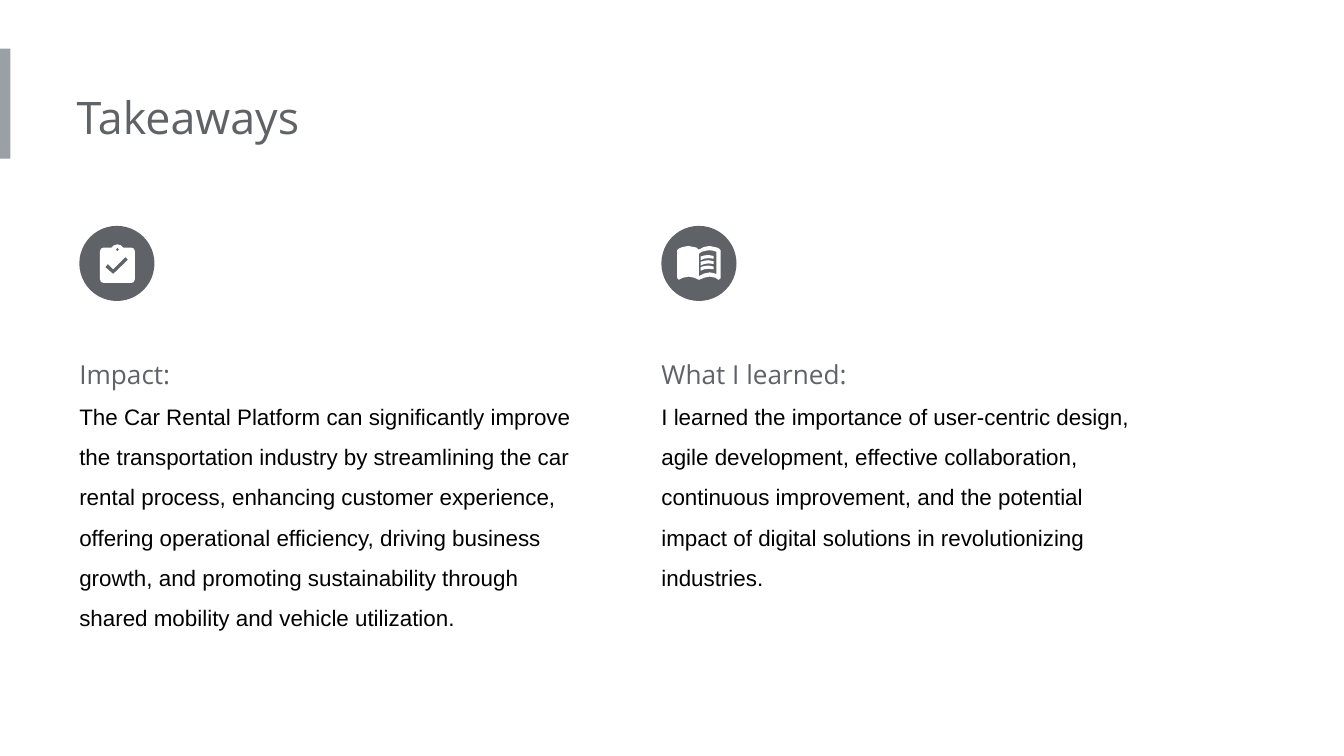
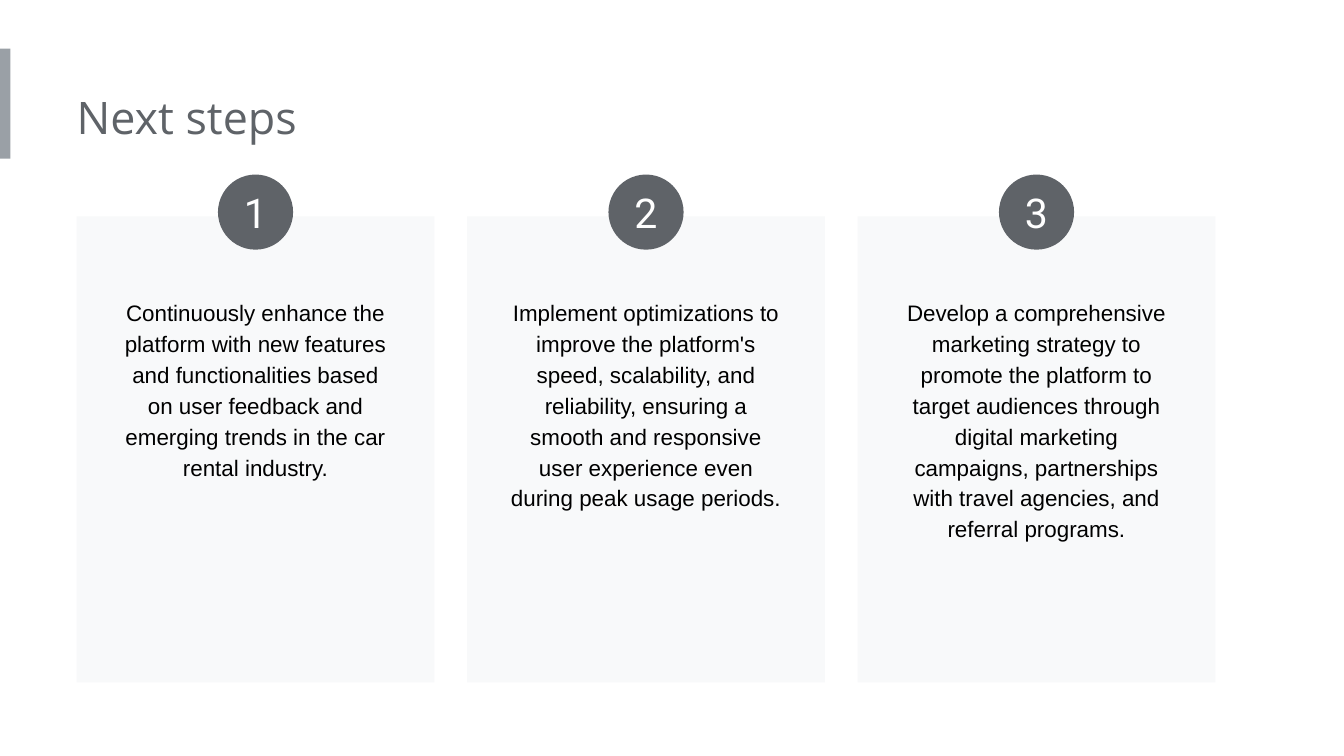
"""Build the closing slides of a car rental case study: takeaways and next steps."""
from dataclasses import dataclass

from pptx import Presentation, util as u
from pptx.dml.color import RGBColor
from pptx.enum import shapes, text


@dataclass(frozen=True)
class Theme:
    """Colours, fonts and type sizes shared by the slides."""
    accent: str = "9AA0A6"
    dark: str = "5F6368"
    panel: str = "F8F9FA"
    ink: str = "000000"
    white: str = "FFFFFF"
    heading_font: str = "Open Sans"
    body_font: str = "Arial"
    number_font: str = "Roboto"
    title_size: int = 24
    heading_size: int = 14
    body_size: int = 12
    number_size: int = 22


THEME = Theme()
TITLE = {"name": THEME.heading_font, "size": THEME.title_size, "color": THEME.dark}
HEADING = {"name": THEME.heading_font, "size": THEME.heading_size, "color": THEME.dark}
BODY = {"name": THEME.body_font, "size": THEME.body_size, "color": THEME.ink}
NUMBER = {"name": THEME.number_font, "size": THEME.number_size, "color": THEME.white}

CIRCLE = 1.42
INSET = 0.25
LEFT_MARGIN = 1.45

CLIPBOARD = [[
    [(46, 41), (61, 41), (65, 37), (72, 35), (79, 37), (83, 41), (98, 41),
     (103, 43), (105, 48), (105, 101), (103, 106), (98, 108), (46, 108),
     (41, 106), (39, 101), (39, 48), (41, 43)],
    [(72, 41), (75, 45), (72, 48), (69, 45)],
    [(64, 91), (49, 78), (54, 72), (64, 82), (87, 59), (92, 64)],
]]
BOOK_PAGES = [
    [(71, 45), (66, 41), (51, 38), (40, 40), (33, 43), (30, 46), (30, 99),
     (33, 102), (41, 98), (51, 96), (62, 98), (71, 102), (81, 98), (91, 96),
     (102, 98), (108, 102), (112, 99), (112, 46), (108, 42), (101, 40),
     (91, 38), (80, 40)],
    [(71, 53), (76, 49), (84, 47), (91, 46), (98, 47), (104, 49), (104, 91),
     (98, 89), (91, 88), (81, 90), (71, 95)],
]
BOOK_LINE = [(74, 58), (81, 56), (89, 55), (99, 57), (99, 62), (89, 61),
             (81, 62), (74, 65)]
BOOK = [BOOK_PAGES] + [[[(x, y + 10 * row) for x, y in BOOK_LINE]]
                       for row in range(3)]

TAKEAWAYS = [
    (1.5, 6.02, CLIPBOARD, "Impact:",
     "The Car Rental Platform can significantly improve the transportation "
     "industry by streamlining the car rental process, enhancing customer "
     "experience, offering operational efficiency, driving business growth, "
     "and promoting sustainability through shared mobility and vehicle "
     "utilization."),
    (12.5, 4.5, BOOK, "What I learned:",
     "I learned the importance of user-centric design, agile development, "
     "effective collaboration, continuous improvement, and the potential "
     "impact of digital solutions in revolutionizing industries."),
]
NEXT_STEPS = [
    (4.06, "Continuously enhance the platform with new features and "
           "functionalities based on user feedback and emerging trends in "
           "the car rental industry."),
    (4.65, "Implement optimizations to improve the platform's speed, "
           "scalability, and reliability, ensuring a smooth and responsive "
           "user experience even during peak usage periods."),
    (5.23, "Develop a comprehensive marketing strategy to promote the "
           "platform to target audiences through digital marketing "
           "campaigns, partnerships with travel agencies, and referral "
           "programs."),
]


def apply(target, values):
    """Set each named attribute of the target."""
    for name, value in values.items():
        setattr(target, name, value)


class Deck:
    """Holds the presentation, the theme and the current slide."""

    def __init__(self, theme):
        """Start an empty widescreen presentation."""
        self.theme = theme
        self.presentation = Presentation()
        apply(self.presentation, {"slide_width": u.Cm(25.4),
                                  "slide_height": u.Cm(14.29)})
        self.slide = None

    def start_slide(self, title):
        """Add a slide with the accent bar and its title."""
        self.slide = self.presentation.slides.add_slide(
            self.presentation.slide_layouts[5])
        self.shape(shapes.MSO_SHAPE.RECTANGLE, (0, 0.92, 0.2, 2.08),
                   self.theme.accent)
        placeholder = self.slide.shapes.title
        apply(placeholder, dict(zip(("left", "top", "width", "height"),
                                    map(u.Cm, (LEFT_MARGIN, 1.45, 13.69, 1.55)))))
        self.set_text(placeholder, [(title, TITLE)], left_inset=0)

    def paint(self, shape, color):
        """Give a shape a plain fill with neither line nor shadow."""
        shape.fill.solid()
        shape.fill.fore_color.rgb = RGBColor.from_string(color)
        shape.line.fill.background()
        shape.shadow.inherit = False

    def shape(self, kind, box, color):
        """Draw a filled preset shape."""
        shape = self.slide.shapes.add_shape(kind, *map(u.Cm, box))
        self.paint(shape, color)
        return shape

    def circle(self, left, top):
        """Draw a dark round badge."""
        return self.shape(shapes.MSO_SHAPE.OVAL, (left, top, CIRCLE, CIRCLE),
                          self.theme.dark)

    def icon(self, left, top, outlines):
        """Draw a white icon whose points are hundredths of a centimetre."""
        for contours in outlines:
            builder = self.slide.shapes.build_freeform(
                *contours[0][0], scale=u.Cm(0.01))
            builder.add_line_segments(contours[0][1:])
            for contour in contours[1:]:
                builder.move_to(*contour[0])
                builder.add_line_segments(contour[1:])
            self.paint(builder.convert_to_shape(u.Cm(left), u.Cm(top)),
                       self.theme.white)

    def set_text(self, shape, lines, inset=INSET, left_inset=INSET, spacing=1.0,
                 align=text.PP_ALIGN.LEFT, anchor=text.MSO_ANCHOR.TOP,
                 fit=text.MSO_AUTO_SIZE.SHAPE_TO_FIT_TEXT):
        """Fill a shape with one formatted paragraph per line."""
        frame = shape.text_frame
        apply(frame, {"word_wrap": True, "auto_size": fit,
                      "vertical_anchor": anchor,
                      "margin_left": u.Cm(left_inset),
                      "margin_top": u.Cm(inset),
                      "margin_right": u.Cm(inset),
                      "margin_bottom": u.Cm(inset)})
        for index, (words, style) in enumerate(lines):
            paragraph = frame.add_paragraph() if index else frame.paragraphs[0]
            apply(paragraph, {"alignment": align, "line_spacing": spacing})
            run = paragraph.add_run()
            run.text = words
            apply(run.font, {"name": style["name"], "size": u.Pt(style["size"])})
            run.font.color.rgb = RGBColor.from_string(style["color"])

    def text_box(self, box, lines, **layout):
        """Add a wrapped text box."""
        self.set_text(self.slide.shapes.add_textbox(*map(u.Cm, box)), lines, **layout)

    def number(self, left, top, value):
        """Add a badge with a centred number."""
        self.set_text(self.circle(left, top), [(str(value), NUMBER)],
                      inset=0, left_inset=0, align=text.PP_ALIGN.CENTER,
                      anchor=text.MSO_ANCHOR.MIDDLE, fit=text.MSO_AUTO_SIZE.NONE)


def build_takeaways(deck):
    """Lay out the two columns of takeaways."""
    deck.start_slide("Takeaways")
    badge_top = 4.27
    for left, height, icon, heading, body in TAKEAWAYS:
        deck.text_box((left, 6.22, 9.58, height),
                      [(heading, HEADING), (body, BODY)],
                      left_inset=0, spacing=1.5)
        deck.circle(left, badge_top)
        deck.icon(left, badge_top, icon)


def build_next_steps(deck):
    """Lay out the three numbered cards."""
    deck.start_slide("Next steps")
    card_width, pitch, text_width = 6.76, 7.38, 5.69
    for index, (height, body) in enumerate(NEXT_STEPS):
        left = LEFT_MARGIN + index * pitch
        deck.shape(shapes.MSO_SHAPE.RECTANGLE, (left, 4.09, card_width, 8.81),
                   deck.theme.panel)
        deck.text_box((left + (card_width - text_width) / 2, 5.33,
                       text_width, height), [(body, BODY)],
                      spacing=1.15, align=text.PP_ALIGN.CENTER)
        deck.number(left + (card_width - CIRCLE) / 2, 3.3, index + 1)


def main():
    """Build both slides and save the presentation."""
    deck = Deck(THEME)
    build_takeaways(deck)
    build_next_steps(deck)
    deck.presentation.save("out.pptx")


if __name__ == "__main__":
    main()
